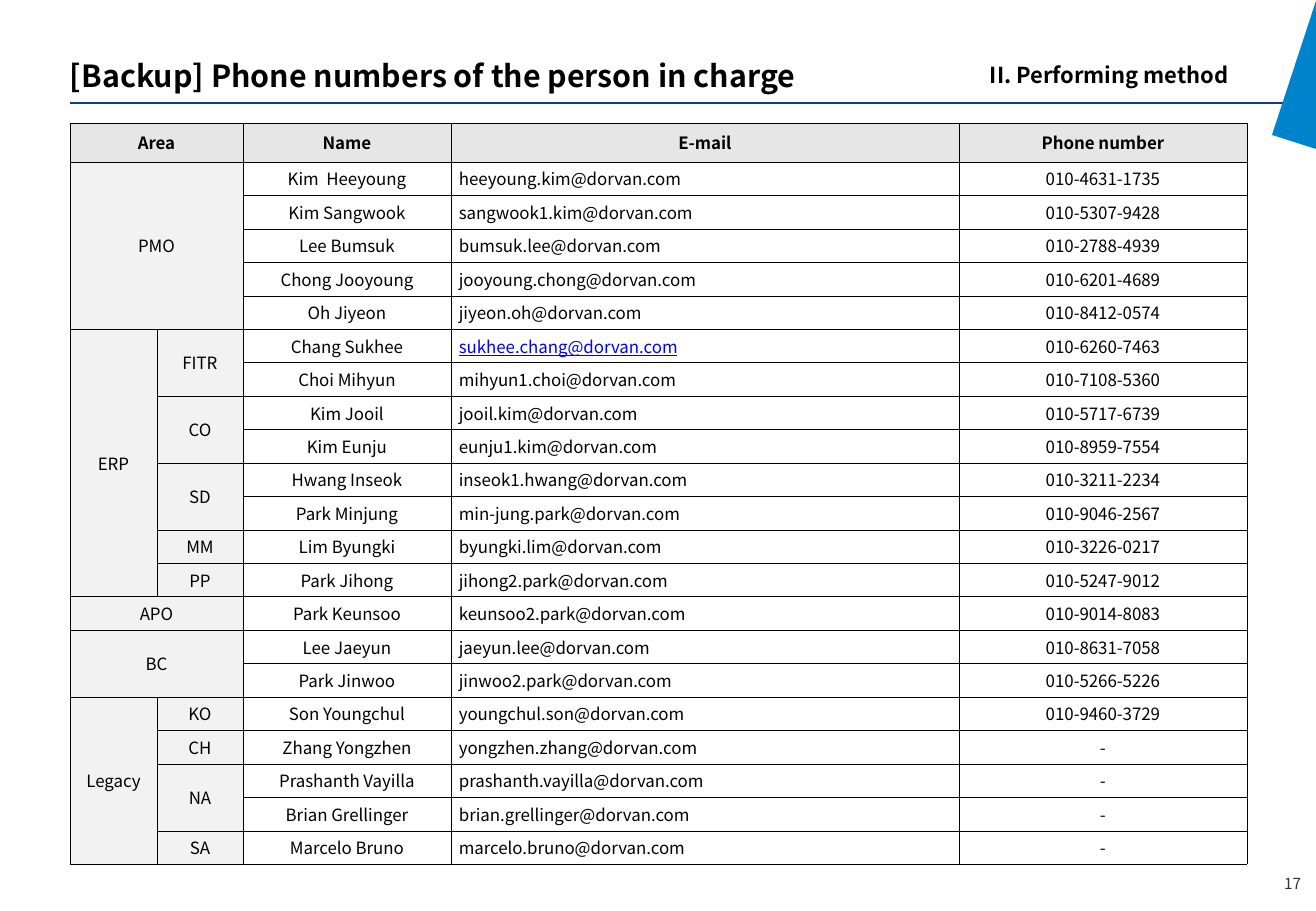
from lxml.etree import SubElement
from pptx import Presentation
from pptx.dml.color import RGBColor
from pptx.enum.shapes import MSO_CONNECTOR
from pptx.enum.text import MSO_ANCHOR, PP_ALIGN
from pptx.oxml.ns import qn
from pptx.util import Emu, Pt

PX = 7526  # EMU per px
FONT = "Noto Sans CJK KR"
MAIL_DOMAIN = "dorvan.com"
LINKED_MAIL = "sukhee.chang"

HEADINGS = ["Area", "Name", "E-mail", "Phone number"]
COLUMN_WIDTHS = [87, 86, 208, 508, 288]
HEADING_HEIGHT = 39

# Area -> sub-area -> people (name, mail account, phone)
CONTACTS = {
    "PMO": {"": [
        ("Kim  Heeyoung", "heeyoung.kim", "010-4631-1735"),
        ("Kim Sangwook", "sangwook1.kim", "010-5307-9428"),
        ("Lee Bumsuk", "bumsuk.lee", "010-2788-4939"),
        ("Chong Jooyoung", "jooyoung.chong", "010-6201-4689"),
        ("Oh Jiyeon", "jiyeon.oh", "010-8412-0574"),
    ]},
    "ERP": {
        "FITR": [("Chang Sukhee", "sukhee.chang", "010-6260-7463"),
                 ("Choi Mihyun", "mihyun1.choi", "010-7108-5360")],
        "CO": [("Kim Jooil", "jooil.kim", "010-5717-6739"),
               ("Kim Eunju", "eunju1.kim", "010-8959-7554")],
        "SD": [("Hwang Inseok", "inseok1.hwang", "010-3211-2234"),
               ("Park Minjung", "min-jung.park", "010-9046-2567")],
        "MM": [("Lim Byungki", "byungki.lim", "010-3226-0217")],
        "PP": [("Park Jihong", "jihong2.park", "010-5247-9012")],
    },
    "APO": {"": [("Park Keunsoo", "keunsoo2.park", "010-9014-8083")]},
    "BC": {"": [("Lee Jaeyun", "jaeyun.lee", "010-8631-7058"),
                ("Park Jinwoo", "jinwoo2.park", "010-5266-5226")]},
    "Legacy": {
        "KO": [("Son Youngchul", "youngchul.son", "010-9460-3729")],
        "CH": [("Zhang Yongzhen", "yongzhen.zhang", "-")],
        "NA": [("Prashanth Vayilla", "prashanth.vayilla", "-"),
               ("Brian Grellinger", "brian.grellinger", "-")],
        "SA": [("Marcelo Bruno", "marcelo.bruno", "-")],
    },
}


def px(length):
    return Emu(length * PX)


def color(hex_code):
    return RGBColor.from_string(hex_code)


def set_all(target, values):
    for name, value in values.items():
        setattr(target, name, value)


def write(frame, text, align, hex_code="000000", **font_format):
    paragraph = frame.paragraphs[0]
    paragraph.alignment = align
    run = paragraph.add_run()
    run.text = text
    set_all(run.font, {"name": FONT, **font_format})
    run.font.color.rgb = color(hex_code)


def add_label(slide, box, text, align, anchor, margins=(0, 0), **text_format):
    frame = slide.shapes.add_textbox(*map(px, box)).text_frame
    side, edge = map(px, margins)
    set_all(frame, {"word_wrap": True, "vertical_anchor": anchor,
                    "margin_left": side, "margin_right": side,
                    "margin_top": edge, "margin_bottom": edge})
    write(frame, text, align, **text_format)


def add_header(slide, left, top, width, height):
    # Rule under the title
    bottom = top + height
    rule = slide.shapes.add_connector(
        MSO_CONNECTOR.STRAIGHT, px(left), px(bottom), px(left + width), px(bottom))
    rule.line.color.rgb = color("103991")
    rule.line.width = Pt(1.5)
    SubElement(rule._element.spPr, qn("a:effectLst"))

    # Title and chapter
    add_label(slide, (left, bottom - 46, 1169, 36),
              "[Backup] Phone numbers of the person in charge",
              PP_ALIGN.LEFT, MSO_ANCHOR.MIDDLE, size=Pt(18), bold=True)
    add_label(slide, (left + 793, top, 377, height - 9), "II. Performing method",
              PP_ALIGN.RIGHT, MSO_ANCHOR.BOTTOM, (12, 6), size=Pt(13), bold=True)


def add_corner_wedge(slide, left, top, width, height):
    outline = slide.shapes.build_freeform(left + width, top, scale=PX)
    outline.add_line_segments([(left, top + height - 14), (left + width, top + height)])
    wedge = outline.convert_to_shape()
    wedge.shadow.inherit = False
    wedge.fill.solid()
    wedge.fill.fore_color.rgb = color("0083CD")
    wedge.line.fill.background()


def style_cell(cell, fill):
    set_all(cell, {"vertical_anchor": MSO_ANCHOR.MIDDLE,
                   "margin_left": px(8), "margin_right": px(8),
                   "margin_top": 0, "margin_bottom": 0})
    properties = cell._tc.get_or_add_tcPr()
    for side in ("a:lnL", "a:lnR", "a:lnT", "a:lnB"):
        border = SubElement(properties, qn(side), w=str(Pt(0.25)))
        SubElement(SubElement(border, qn("a:solidFill")), qn("a:srgbClr"), val="000000")
    cell.fill.solid()
    cell.fill.fore_color.rgb = color(fill)


def add_contact_table(slide, left, top, width, height):
    people_count = sum(len(people) for subs in CONTACTS.values() for people in subs.values())
    table = slide.shapes.add_table(
        people_count + 1, len(COLUMN_WIDTHS), *map(px, (left, top, width, height))).table
    set_all(table, {"first_row": False, "horz_banding": False})
    for column, column_width in zip(table.columns, COLUMN_WIDTHS):
        column.width = px(column_width)
    for row in table.rows:
        row.height = Emu(px(height - HEADING_HEIGHT) // people_count)
    table.rows[0].height = px(HEADING_HEIGHT)

    # Cell fills and borders
    for row_index in range(people_count + 1):
        for column_index in range(len(COLUMN_WIDTHS)):
            fill = "E7E6E6" if row_index == 0 else "F2F2F2" if column_index < 2 else "FFFFFF"
            style_cell(table.cell(row_index, column_index), fill)

    def fill_cell(row, column, text, last_row=None, last_column=None,
                  align=PP_ALIGN.CENTER, **text_format):
        cell = table.cell(row, column)
        end = (last_row or row, last_column or column)
        if end != (row, column):
            cell.merge(table.cell(*end))
        write(cell.text_frame, text, align, size=Pt(10), **{"bold": False, **text_format})

    # Heading row
    for column, heading in zip((0, 2, 3, 4), HEADINGS):
        fill_cell(0, column, heading, last_column=column or 1, bold=True)

    # Areas, sub-areas and people
    row = 1
    for area, sub_areas in CONTACTS.items():
        last_area_row = row + sum(map(len, sub_areas.values())) - 1
        fill_cell(row, 0, area, last_area_row, 1 if "" in sub_areas else 0)
        for sub_area, people in sub_areas.items():
            if sub_area:
                fill_cell(row, 1, sub_area, row + len(people) - 1)
            for name, account, phone in people:
                link_format = {"hex_code": "0000FF", "underline": True}
                fill_cell(row, 2, name)
                fill_cell(row, 3, f"{account}@{MAIL_DOMAIN}", align=PP_ALIGN.LEFT,
                          **(link_format if account == LINKED_MAIL else {}))
                fill_cell(row, 4, phone)
                row += 1


def main():
    presentation = Presentation()
    set_all(presentation, {"slide_width": px(1316), "slide_height": px(911)})
    slide = presentation.slides.add_slide(presentation.slide_layouts[6])
    add_header(slide, 70, 30, 1220, 73)
    add_corner_wedge(slide, 1272, 1, 44, 148)
    add_contact_table(slide, 70, 123, sum(COLUMN_WIDTHS), 742)
    # Page number
    add_label(slide, (1277, 871, 24, 24), "17", PP_ALIGN.RIGHT, MSO_ANCHOR.MIDDLE,
              hex_code="333333", size=Pt(9))
    presentation.save("out.pptx")


if __name__ == "__main__":
    main()
